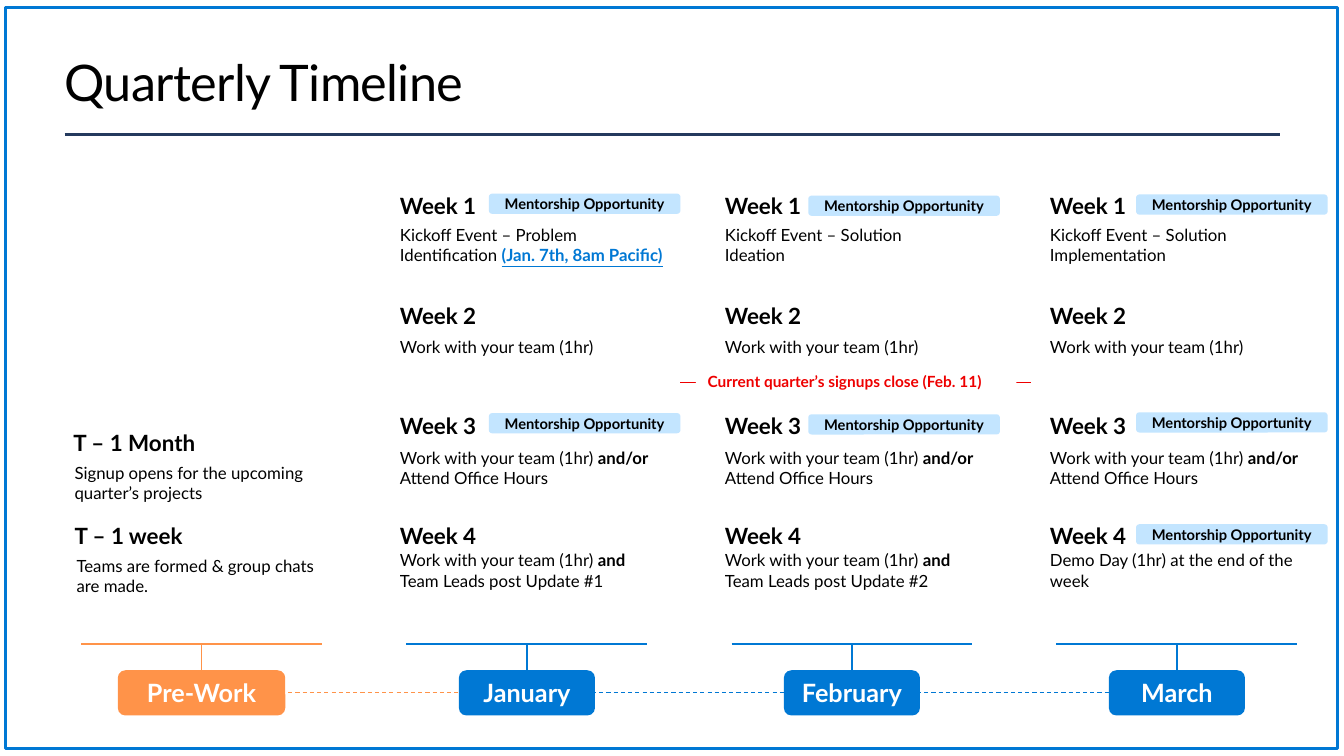
from lxml import etree
from pptx import Presentation
from pptx.dml.color import RGBColor
from pptx.enum import dml, shapes, text
from pptx.oxml.ns import qn
from pptx.util import Cm, Pt

BLACK = RGBColor(0x00, 0x00, 0x00)
WHITE = RGBColor(0xFF, 0xFF, 0xFF)
NAVY = RGBColor(0x24, 0x3A, 0x5E)
BLUE = RGBColor(0x00, 0x78, 0xD4)
ORANGE = RGBColor(0xFF, 0x93, 0x49)
PALE_BLUE = RGBColor(0xC3, 0xE5, 0xFF)
RED = RGBColor(0xEE, 0x00, 0x00)
FONT = "Lato"

TITLE = "Quarterly Timeline"
BADGE = "Mentorship Opportunity"
DEADLINE = "Current quarter’s signups close (Feb. 11)"

# A body is a list of paragraphs, a paragraph a list of (words, format) runs.
BOLD = {"bold": True}
LINK = {"bold": True, "underline": True, "color": BLUE}
TEAM = [[("Work with your team (1hr)", {})]]
OFFICE_HOURS = [[("Work with your team (1hr) ", {}), ("and/or", BOLD)],
                [("Attend Office Hours", {})]]


def update(number):
    return [[("Work with your team (1hr) ", {}), ("and", BOLD)],
            [(f"Team Leads post Update #{number}", {})]]


# Month, left edge of its badges, {week: top of its badge}, bodies of weeks 1 to 4
MONTHS = [
    ("January", 12.32, {1: 4.88, 3: 10.41}, [
        [[("Kickoff Event – Problem", {})],
         [("Identification ", {}), ("(Jan. 7th, 8am Pacific)", LINK)]],
        TEAM, OFFICE_HOURS, update(1)]),
    ("February", 20.37, {1: 4.93, 3: 10.44}, [
        [[("Kickoff Event – Solution", {})], [("Ideation", {})]],
        TEAM, OFFICE_HOURS, update(2)]),
    ("March", 28.63, {1: 4.9, 3: 10.39, 4: 13.21}, [
        [[("Kickoff Event – Solution Implementation", {})]],
        TEAM, OFFICE_HOURS,
        [[("Demo Day (1hr) at the end of the week", {})]]]),
]

# Heading, its left and top, body, its left and top
PRE_WORK = [
    ("T – 1 Month", 1.6, 10.87,
     "Signup opens for the upcoming quarter’s projects", 1.63, 11.53),
    ("T – 1 week", 1.63, 13.21,
     "Teams are formed & group chats are made.", 1.68, 13.87),
]

COLUMN_LEFT, COLUMN_PITCH = 9.83, 8.19
WEEK_TOP, WEEK_PITCH = 4.9, 2.77
BODY_TOPS = [5.54, 8.36, 11.15, 13.74]
HEADING_W, BODY_W, HEADING_H, BODY_H = 6.91, 7.3, 0.74, 1.55
PRE_WORK_CENTER, MONTH_CENTER = 5.08, 13.28
BRACKET_Y, BRACKET_W = 16.23, 6.07
PILL_TOP, PILL_H, PRE_WORK_W, MONTH_W = 16.89, 1.14, 4.22, 3.43

deck = Presentation()
deck.slide_width, deck.slide_height = Cm(33.87), Cm(19.05)
slide = deck.slides.add_slide(deck.slide_layouts[6])


def write(box, content, size=12, color=BLACK, bold=False, align=text.PP_ALIGN.LEFT,
          anchor=text.MSO_ANCHOR.TOP, inset=None, spacing=None):
    """Fill a box with a string or with paragraphs of (words, format) runs."""
    frame = box.text_frame
    frame.word_wrap = True
    frame.vertical_anchor = anchor
    if inset is not None:
        frame.margin_left = frame.margin_right = Cm(inset)
        frame.margin_top = frame.margin_bottom = Cm(inset)
    paragraphs = [[(content, {})]] if isinstance(content, str) else content
    for index, runs in enumerate(paragraphs):
        paragraph = frame.add_paragraph() if index else frame.paragraphs[0]
        paragraph.alignment = align
        for words, style in runs:
            run = paragraph.add_run()
            run.text = words
            font = run.font
            font.name, font.size = FONT, Pt(size)
            font.bold = style.get("bold", bold)
            font.underline = style.get("underline", False)
            font.color.rgb = style.get("color", color)
            if spacing is not None:
                font._element.set("spc", str(round(spacing * 100)))


def add_text(left, top, width, height, content, **style):
    write(slide.shapes.add_textbox(Cm(left), Cm(top), Cm(width), Cm(height)),
          content, **style)


def add_heading(left, top, content):
    add_text(left, top, HEADING_W, HEADING_H, content, size=16, bold=True,
             anchor=text.MSO_ANCHOR.BOTTOM)


def add_block(left, top, width, height, fill=None, line=None, weight=0.75,
              kind=shapes.MSO_SHAPE.ROUNDED_RECTANGLE):
    block = slide.shapes.add_shape(kind, Cm(left), Cm(top), Cm(width), Cm(height))
    block.shadow.inherit = False
    if fill is None:
        block.fill.background()
    else:
        block.fill.solid()
        block.fill.fore_color.rgb = fill
    if line is None:
        block.line.fill.background()
    else:
        block.line.color.rgb = line
        block.line.width = Pt(weight)
    return block


def add_line(x1, y1, x2, y2, color, weight=0.75, dashed=False):
    line = slide.shapes.add_connector(shapes.MSO_CONNECTOR.STRAIGHT,
                                      Cm(x1), Cm(y1), Cm(x2), Cm(y2))
    line.line.color.rgb = color
    line.line.width = Pt(weight)
    if dashed:
        line.line.dash_style = dml.MSO_LINE.DASH
    etree.SubElement(line._element.spPr, qn("a:effectLst"))


def add_stage(name, center, width, color):
    """Draw a pill on the time axis with the bracket above it."""
    pill = add_block(center - width / 2, PILL_TOP, width, PILL_H, fill=color)
    write(pill, name, size=18, color=WHITE, bold=True, align=text.PP_ALIGN.CENTER)
    add_line(center, PILL_TOP, center, BRACKET_Y, color, 1)
    add_line(center - BRACKET_W / 2, BRACKET_Y, center + BRACKET_W / 2, BRACKET_Y,
             color, 1)


add_line(1.63, 3.38, 32.26, 3.38, NAVY, 2)
add_text(1.63, 1.27, 30.6, 1.55, TITLE, size=36, inset=0, spacing=-0.5,
         anchor=text.MSO_ANCHOR.MIDDLE)
add_block(0.15, 0.2, 33.55, 18.67, line=BLUE, weight=2.25,
          kind=shapes.MSO_SHAPE.RECTANGLE)

for heading, heading_left, heading_top, body, body_left, body_top in PRE_WORK:
    add_heading(heading_left, heading_top, heading)
    add_text(body_left, body_top, HEADING_W, HEADING_H, body)

axis_y = PILL_TOP + PILL_H / 2
last_center = MONTH_CENTER + (len(MONTHS) - 1) * COLUMN_PITCH
add_line(PRE_WORK_CENTER, axis_y, MONTH_CENTER, axis_y, ORANGE, dashed=True)
add_line(MONTH_CENTER, axis_y, last_center, axis_y, BLUE, dashed=True)
add_stage("Pre-Work", PRE_WORK_CENTER, PRE_WORK_W, ORANGE)

for column, (month, badge_left, badge_tops, bodies) in enumerate(MONTHS):
    left = COLUMN_LEFT + column * COLUMN_PITCH
    add_stage(month, MONTH_CENTER + column * COLUMN_PITCH, MONTH_W, BLUE)
    for row, (body, body_top) in enumerate(zip(bodies, BODY_TOPS)):
        add_heading(left, WEEK_TOP + row * WEEK_PITCH, f"Week {row + 1}")
        add_text(left, body_top, BODY_W, BODY_H, body)
    for badge_top in badge_tops.values():
        write(add_block(badge_left, badge_top, 4.83, 0.51, fill=PALE_BLUE), BADGE,
              size=10.5, bold=True, align=text.PP_ALIGN.CENTER,
              anchor=text.MSO_ANCHOR.MIDDLE)

add_line(17.15, 9.63, 25.98, 9.63, RED)
write(add_block(17.55, 9.27, 8.05, 0.69, fill=WHITE, line=WHITE), DEADLINE,
      size=11, color=RED, bold=True, anchor=text.MSO_ANCHOR.MIDDLE)

deck.save("out.pptx")
